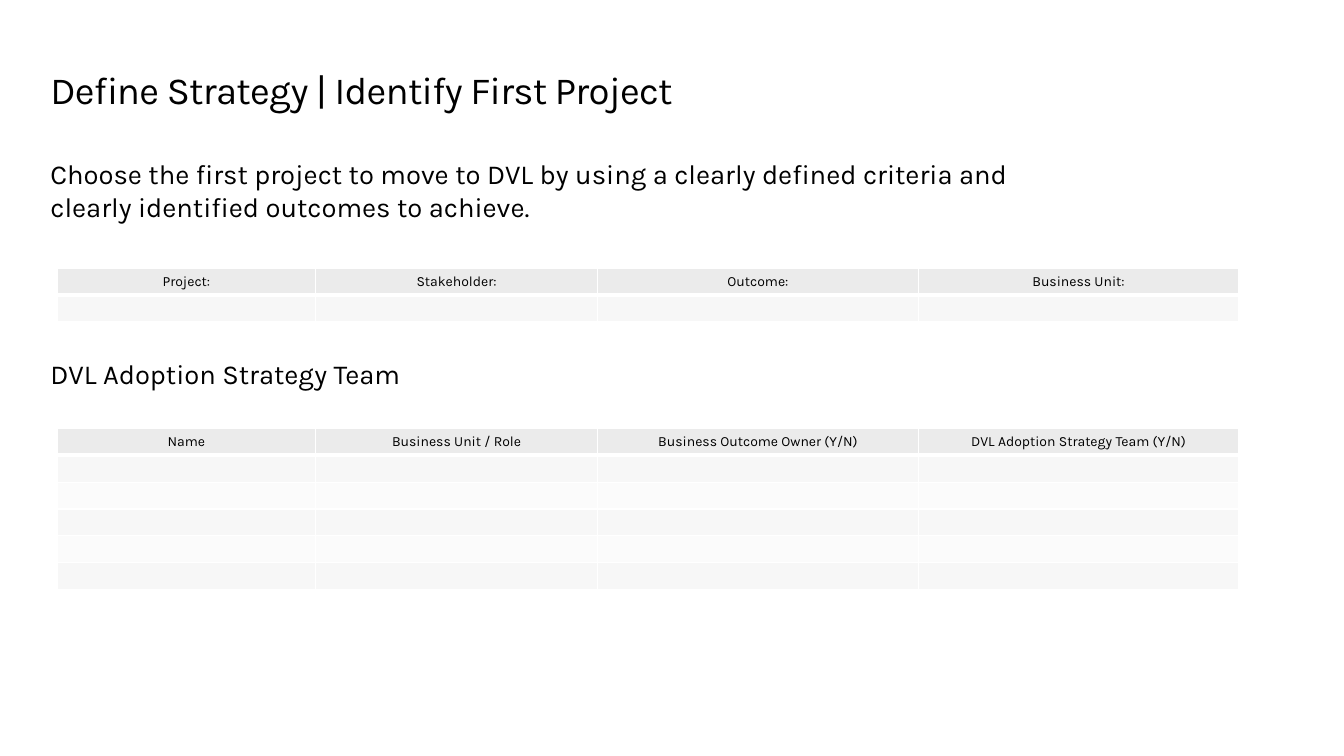
from pptx import Presentation
from pptx.dml.color import RGBColor as RGB
from pptx.enum.text import MSO_ANCHOR as ANCHOR, MSO_AUTO_SIZE as AUTO, PP_ALIGN as ALIGN
from pptx.oxml.xmlchemy import OxmlElement as Elem
from pptx.util import Pt

BLACK = RGB(0x00, 0x00, 0x00)
WHITE = RGB(0xFF, 0xFF, 0xFF)
HEAD = RGB(0xEB, 0xEB, 0xEB)
BANDS = RGB(0xF7, 0xF7, 0xF7), RGB(0xFB, 0xFB, 0xFB)
FONT = "Karla"
LEFT = 36
COLS = 184.3, 201.6, 229, 229
ROW = 19.2


def write(frame, text, size=19.6, align=ALIGN.LEFT, lead=None, track=None):
    para = frame.paragraphs[0]
    para.alignment = align
    para.space_before = Pt(0)
    if lead:
        para.line_spacing = Pt(lead)
    run = para.add_run()
    run.text = text
    font = run.font
    font.name, font.size, font.bold = FONT, Pt(size), False
    font.color.rgb = BLACK
    if track:
        font._element.set("spc", str(round(track * 100)))
    return para


def place(shape, text, top, width, height, **form):
    shape.left, shape.top = Pt(LEFT), Pt(top)
    shape.width, shape.height = Pt(width), Pt(height)
    frame = shape.text_frame
    frame.margin_left = frame.margin_right = 0
    frame.margin_top = frame.margin_bottom = 0
    frame.word_wrap = True
    frame.auto_size = AUTO.SHAPE_TO_FIT_TEXT
    frame.vertical_anchor = ANCHOR.TOP
    return write(frame, text, **form)


def plain(para):
    props = para._p.get_or_add_pPr()
    props.set("marL", "0")
    props.set("indent", "0")
    props.append(Elem("a:buNone"))


def edge(cell, base):
    props = cell._tc.get_or_add_tcPr()
    for spot, side in enumerate("LRTB"):
        line = Elem("a:ln" + side)
        line.set("w", str(Pt(base if side == "B" else 1)))
        fill, tint = Elem("a:solidFill"), Elem("a:srgbClr")
        tint.set("val", str(WHITE))
        fill.append(tint)
        line.append(fill)
        props.insert(spot, line)


def blank(cell):
    end = Elem("a:endParaRPr")
    end.set("sz", "1000")
    cell.text_frame.paragraphs[0]._p.append(end)


def grid(slide, top, heads, count):
    rows = count + 1
    frame = slide.shapes.add_table(rows, len(COLS), Pt(41), Pt(top), Pt(sum(COLS)), Pt(ROW * rows))
    table = frame.table
    table.first_row = table.horz_banding = False
    for col, width in zip(table.columns, COLS):
        col.width = Pt(width)
    for i, row in enumerate(table.rows):
        row.height = Pt(ROW)
        for j, cell in enumerate(row.cells):
            cell.margin_top = cell.margin_bottom = Pt(2)
            cell.vertical_anchor = ANCHOR.MIDDLE
            cell.fill.solid()
            cell.fill.fore_color.rgb = BANDS[(i - 1) % 2] if i else HEAD
            edge(cell, 1 if i else 3)
            if i:
                blank(cell)
            else:
                write(cell.text_frame, heads[j], size=10, align=ALIGN.CENTER)


def main():
    deck = Presentation()
    deck.slide_width, deck.slide_height = Pt(960), Pt(540)
    slide = deck.slides.add_slide(deck.slide_layouts[1])
    place(slide.shapes.title, "Define Strategy | Identify First Project",
          49, 890, 31.4, size=27.4, lead=31.4, track=-0.5)
    plain(place(slide.placeholders[1],
                "Choose the first project to move to DVL by using a clearly defined "
                "criteria and clearly identified outcomes to achieve.",
                112.3, 738.7, 47, lead=23.5))
    grid(slide, 191.5, ["Project:", "Stakeholder:", "Outcome:", "Business Unit:"], 1)
    label = slide.shapes.add_textbox(0, 0, 0, 0)
    place(label, "DVL Adoption Strategy Team", 255, 738.7, 23.5, lead=23.5)
    grid(slide, 306, ["Name", "Business Unit / Role", "Business Outcome Owner (Y/N)",
                      "DVL Adoption Strategy Team (Y/N)"], 5)
    deck.save("out.pptx")


if __name__ == "__main__":
    main()
